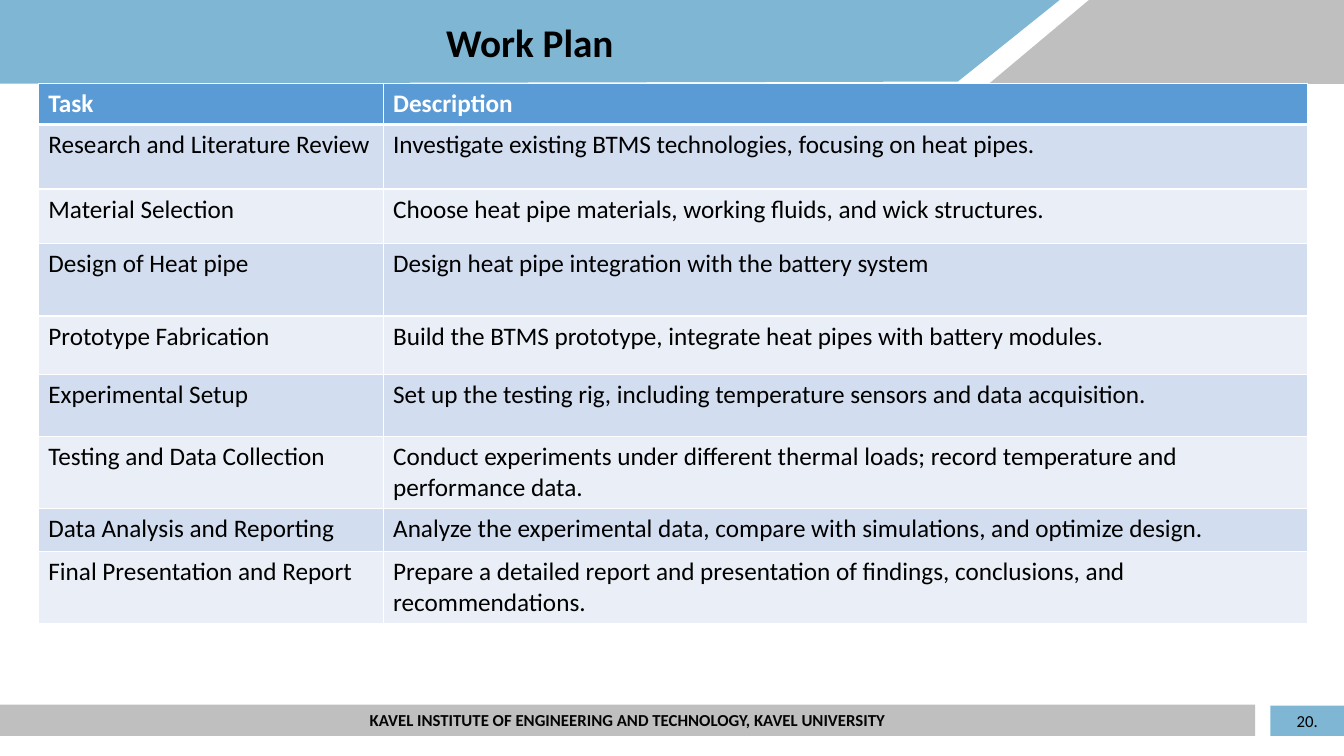
"""Build the Work Plan slide: banner, task table and footer."""
from lxml.etree import SubElement
from pptx import Presentation
from pptx.dml.color import RGBColor
from pptx.enum.shapes import MSO_SHAPE
from pptx.enum.text import MSO_ANCHOR, MSO_AUTO_SIZE, PP_ALIGN
from pptx.oxml.ns import qn
from pptx.util import Pt

PX = 9144
FONT = "Calibri"
COLORS = {
    "blue": "7FB6D4", "grey": "BFBFBF", "black": "000000", "footer": "050505",
    "white": "FFFFFF", "header": "5B9BD5", "odd": "D2DEEF", "even": "EAEFF7",
}
TASKS = [
    ("Task", "Description"),
    ("Research and Literature Review",
     "Investigate existing BTMS technologies, focusing on heat pipes."),
    ("Material Selection",
     "Choose heat pipe materials, working fluids, and wick structures."),
    ("Design of Heat pipe",
     "Design heat pipe integration with the battery system"),
    ("Prototype Fabrication",
     "Build the BTMS prototype, integrate heat pipes with battery modules."),
    ("Experimental Setup",
     "Set up the testing rig, including temperature sensors and data acquisition."),
    ("Testing and Data Collection",
     "Conduct experiments under different thermal loads; "
     "record temperature and performance data."),
    ("Data Analysis and Reporting",
     "Analyze the experimental data, compare with simulations, and optimize design."),
    ("Final Presentation and Report",
     "Prepare a detailed report and presentation of findings, "
     "conclusions, and recommendations."),
]
COLUMNS = [342, 917]
ROWS = [39, 64, 54, 72, 58, 62, 64, 43, 49]


def rgb(name):
    """Return the named colour."""
    return RGBColor.from_string(COLORS[name])


def write(tf, text, size=18, color="black", bold=False, align=PP_ALIGN.LEFT):
    """Write one formatted paragraph into a text frame."""
    p = tf.paragraphs[0]
    p.alignment = align
    r = p.add_run()
    r.text = text
    r.font.name = FONT
    r.font.size = Pt(size)
    r.font.bold = bold
    r.font.color.rgb = rgb(color)


class SlideBuilder:
    """Holds the style and the current slide."""

    def __init__(self, prs):
        """Add a title-only slide."""
        self.s = prs.slides.add_slide(prs.slide_layouts[5])

    def paint(self, sp, color):
        """Give a shape a plain fill without line or shadow."""
        sp.shadow.inherit = False
        sp.fill.solid()
        sp.fill.fore_color.rgb = rgb(color)
        sp.line.fill.background()
        return sp

    def polygon(self, points, color):
        """Draw a closed outline through points."""
        fb = self.s.shapes.build_freeform(*points[0], scale=PX)
        fb.add_line_segments(points[1:], close=True)
        return self.paint(fb.convert_to_shape(), color)

    def title(self, text, x, y, w, h):
        """Place the title above the shapes drawn so far."""
        sp = self.s.shapes.title
        sp.left, sp.top, sp.width, sp.height = (v * PX for v in (x, y, w, h))
        tf = sp.text_frame
        tf.auto_size = MSO_AUTO_SIZE.NONE
        tf.vertical_anchor = MSO_ANCHOR.MIDDLE
        write(tf, text, size=28, bold=True, align=PP_ALIGN.CENTER)
        self.s.shapes[-1].element.addnext(sp.element)

    def bar(self, text, x, y, w, h, fill, **fmt):
        """Draw a filled rectangle with centred text."""
        box = (v * PX for v in (x, y, w, h))
        sp = self.paint(self.s.shapes.add_shape(MSO_SHAPE.RECTANGLE, *box), fill)
        sp.text_frame.word_wrap = True
        sp.text_frame.vertical_anchor = MSO_ANCHOR.MIDDLE
        write(sp.text_frame, text, size=12, align=PP_ALIGN.CENTER, **fmt)

    def border(self, cell, side, width):
        """Add a white border to one side of a cell."""
        ln = SubElement(cell._tc.get_or_add_tcPr(), qn(f"a:ln{side}"), w=str(Pt(width)))
        fill = SubElement(ln, qn("a:solidFill"))
        SubElement(fill, qn("a:srgbClr"), val=COLORS["white"])

    def table(self, rows, x, y, widths, heights):
        """Draw a banded table with a header row."""
        frame = self.s.shapes.add_table(
            len(rows), len(widths), x * PX, y * PX, sum(widths) * PX, sum(heights) * PX)
        table = frame.table
        for column, width in zip(table.columns, widths):
            column.width = width * PX
        for i, (texts, height) in enumerate(zip(rows, heights)):
            table.rows[i].height = height * PX
            head = i == 0
            fill = "header" if head else "odd" if i % 2 else "even"
            thick = {0: "B", 1: "T"}.get(i)
            for j, text in enumerate(texts):
                cell = table.cell(i, j)
                for side in "LRTB":
                    self.border(cell, side, 3 if side == thick else 1)
                cell.fill.solid()
                cell.fill.fore_color.rgb = rgb(fill)
                write(cell.text_frame, text, bold=head,
                      color="white" if head else "black")


def main():
    """Build and save the slide."""
    prs = Presentation()
    prs.slide_width, prs.slide_height = 1333 * PX, 750 * PX
    b = SlideBuilder(prs)
    b.polygon([(0, 0), (1051, 0), (950, 81), (0, 83)], "blue")
    b.polygon([(1080, 0), (1080, 83), (981, 83)], "grey")
    b.polygon([(1080, 0), (1333, 0), (1333, 83), (1080, 83)], "grey")
    b.title("Work Plan", 0, 0, 1051, 83)
    b.bar("KAVEL INSTITUTE OF ENGINEERING AND TECHNOLOGY, KAVEL UNIVERSITY",
          0, 699, 1245, 31, "grey", color="footer", bold=True)
    b.bar("20.", 1260, 700, 73, 30, "blue")
    b.table(TASKS, 38, 83, COLUMNS, ROWS)
    prs.save("out.pptx")


if __name__ == "__main__":
    main()
